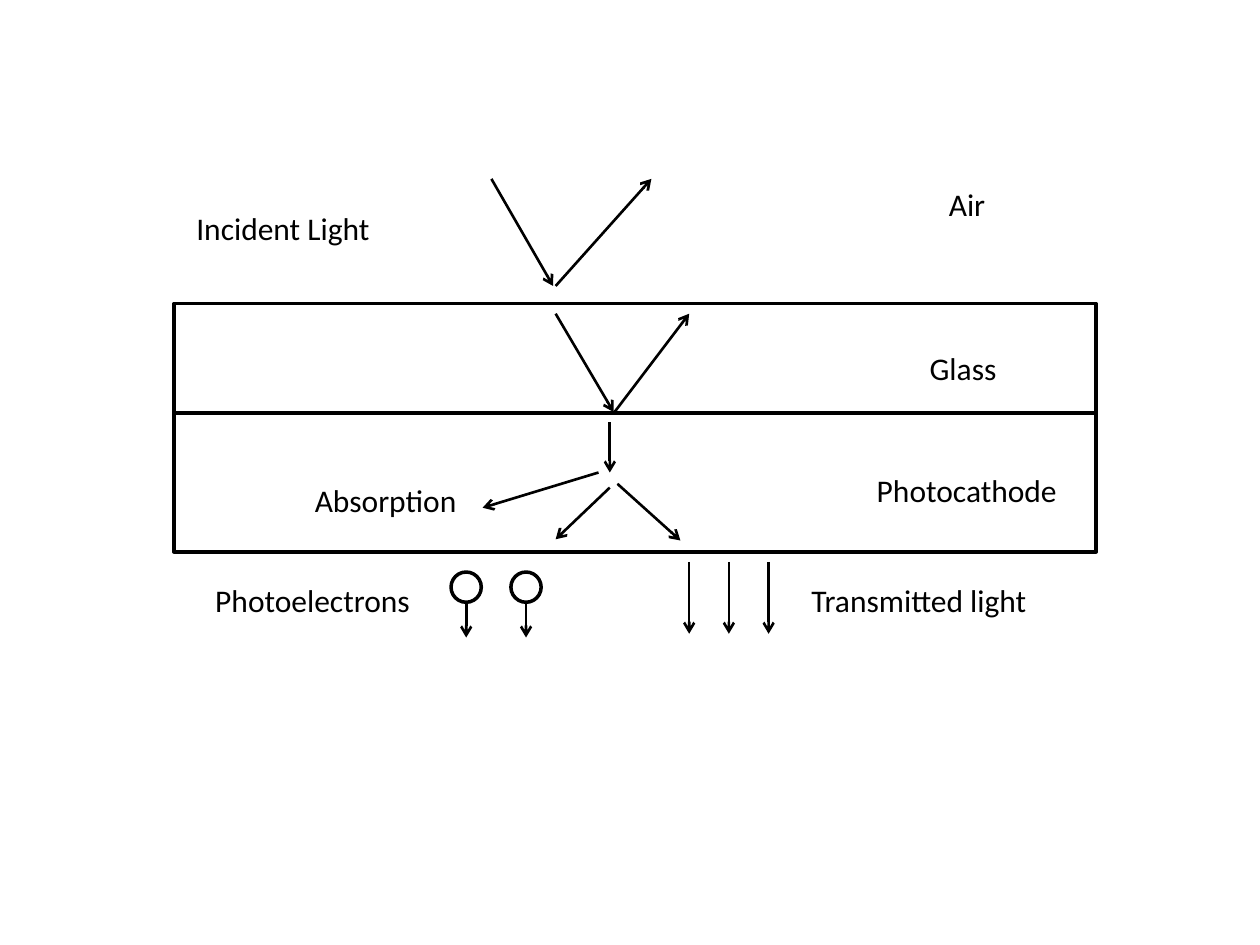
from pptx import Presentation
from pptx.dml.color import RGBColor
from pptx.enum.shapes import MSO_CONNECTOR as Conn, MSO_SHAPE as Form
from pptx.enum.text import MSO_AUTO_SIZE as Fit, PP_ALIGN as Align
from pptx.oxml.ns import qn
from pptx.util import Inches, Pt
from lxml.etree import SubElement

COLS, ROWS = 100, 75
INK = "000000"

deck = Presentation()
deck.slide_width, deck.slide_height = Inches(10), Inches(7.5)
slide = deck.slides.add_slide(deck.slide_layouts[6])
shapes = slide.shapes


def color(code):
    return RGBColor.from_string(code)


def col(n):
    return round(deck.slide_width * n / COLS)


def row(n):
    return round(deck.slide_height * n / ROWS)


def outline(form, x, y, w, h):
    shape = shapes.add_shape(form, col(x), row(y), col(w), row(h))
    shape.shadow.inherit = False
    shape.fill.background()
    shape.line.color.rgb = color(INK)
    shape.line.width = Pt(2)


def arrow(box, x1, y1, x2, y2):
    """Draw an arrow between two points measured from the box corner."""
    left, top = box[:2]
    line = shapes.add_connector(Conn.STRAIGHT, col(left + x1), row(top + y1),
                                col(left + x2), row(top + y2))
    line.line.color.rgb = color(INK)
    line.line.width = Pt(1.5)
    SubElement(line.line._get_or_add_ln(), qn("a:tailEnd"), type="arrow")
    SubElement(line._element.spPr, qn("a:effectLst"))


def label(box, x, y, w, text, align=Align.LEFT, wrap=True):
    left, top = box[:2]
    frame = shapes.add_textbox(col(left + x), row(top + y),
                               col(w), row(4)).text_frame
    frame.word_wrap = wrap
    frame.auto_size = Fit.SHAPE_TO_FIT_TEXT
    para = frame.paragraphs[0]
    para.alignment = align
    run = para.add_run()
    run.text = text
    run.font.name, run.font.size = "Calibri", Pt(18)
    run.font.color.rgb = color(INK)


def air(box):
    label(box, 0.8, 1.9, 20.1, "Incident Light")
    label(box, 60, 0, 5.9, "Air", Align.CENTER)
    arrow(box, 25.2, 0, 30.1, 8.5)
    arrow(box, 30.3, 8.5, 37.9, 0)


def glass(box):
    outline(Form.RECTANGLE, *box)
    label(box, 59, 3.1, 8.7, "Glass")
    arrow(box, 30.3, 0.8, 34.9, 8.6)
    arrow(box, 34.9, 8.7, 40.9, 0.8)


def cathode(box):
    outline(Form.RECTANGLE, *box)
    label(box, 54.8, 4.1, 16.5, "Photocathode", wrap=False)
    label(box, 10.2, 4.9, 13.4, "Absorption", wrap=False)
    arrow(box, 34.6, 0.7, 34.6, 4.7)
    arrow(box, 33.7, 4.7, 24.5, 7.5)
    arrow(box, 34.6, 5.9, 30.3, 10)
    arrow(box, 35.2, 5.6, 40.2, 10.1)


def output(box):
    """Show the electrons and the light that leave the photocathode."""
    left, top = box[:2]
    size = 2.4
    label(box, 2.3, 1.8, 18.5, "Photoelectrons")
    for x in (22, 26.75):
        outline(Form.OVAL, left + x, top + 1.6, size, size)
        mid = x + size / 2
        arrow(box, mid, 1.6 + size, mid, 6.8)
    for i in range(3):
        x = 40.9 + 3.15 * i
        arrow(box, x, 0.8, x, 6.5)
    label(box, 49.6, 1.8, 20.5, "Transmitted light")


def main():
    left, top, width = 13.8, 14.2, 73.2
    for draw, height in ((air, 9.9), (glass, 8.7), (cathode, 11), (output, 7)):
        draw((left, top, width, height))
        top += height
    deck.save("out.pptx")


if __name__ == "__main__":
    main()
